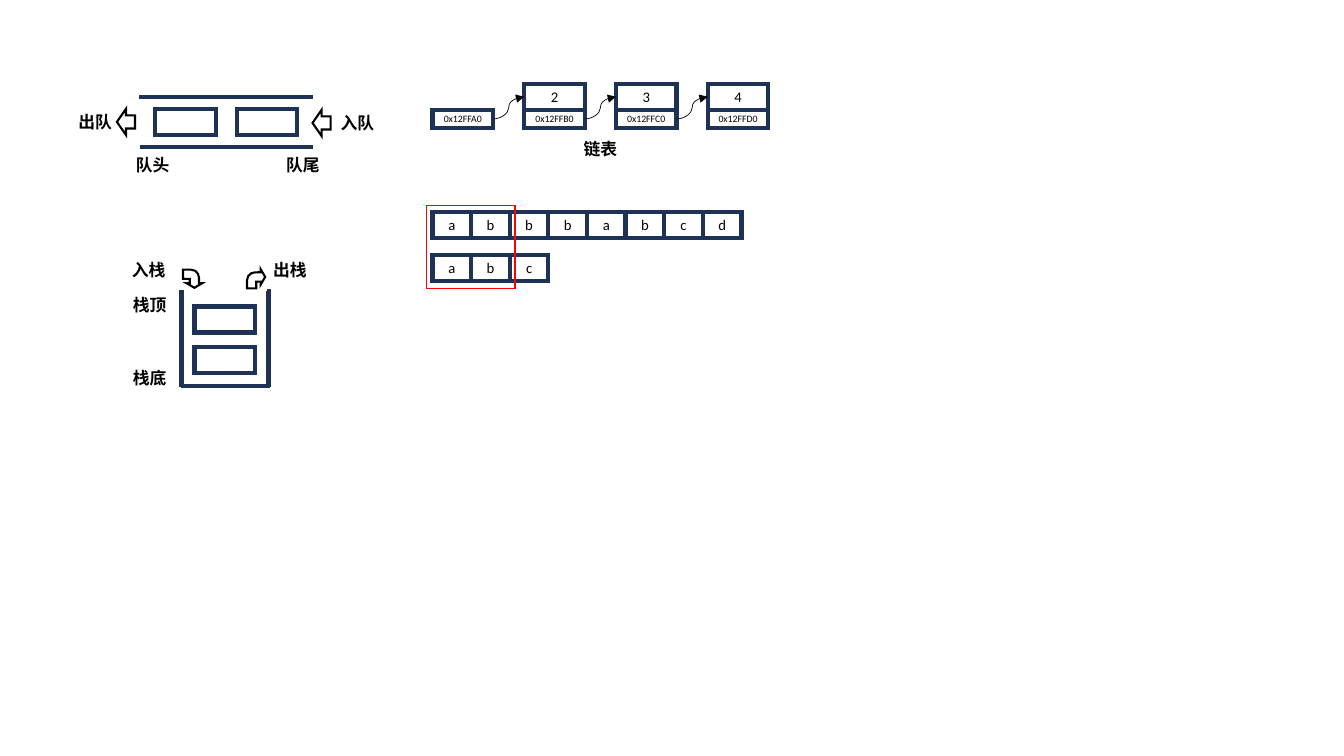
from typing import NamedTuple

from lxml import etree
from pptx import Presentation
from pptx.dml.color import RGBColor
from pptx.enum.shapes import MSO_CONNECTOR as CONN, MSO_SHAPE as SHAPE
from pptx.enum.text import MSO_ANCHOR, MSO_AUTO_SIZE, PP_ALIGN
from pptx.oxml.ns import qn
from pptx.util import Inches, Pt

NAVY = RGBColor(0x1E, 0x32, 0x56)
BLACK = RGBColor(0, 0, 0)
RED = RGBColor(0xFF, 0, 0)
FONT = "Calibri"
BOX_W, BOX_H, ADDRESS_H = 0.6, 0.26, 0.18
CELL_W = 0.383
RIGHT, LEFT = 3, 1


class Label(NamedTuple):
    text: str
    x: float
    y: float


class Stroke(NamedTuple):
    x1: float
    y1: float
    x2: float
    y2: float


class Node(NamedTuple):
    value: str
    address: str


LABELS = [
    Label("链表", 5.69, 1.33),
    Label("队头", 1.25, 1.49), Label("队尾", 2.74, 1.49),
    Label("入队", 3.28, 1.07), Label("出队", 0.68, 1.06),
    Label("栈底", 1.22, 3.6), Label("栈顶", 1.22, 2.87),
    Label("入栈", 1.21, 2.53), Label("出栈", 2.61, 2.53),
]
QUEUE_WALLS = [Stroke(1.38, 0.96, 3.1, 0.96), Stroke(1.39, 1.46, 3.1, 1.46)]
STACK_WALLS = [
    Stroke(1.8, 3.84, 1.8, 2.88), Stroke(2.66, 3.85, 2.66, 2.89),
    Stroke(2.67, 3.84, 2.67, 2.87), Stroke(1.8, 3.83, 2.67, 3.83),
]
QUEUE_ITEMS = [(1.54, 1.08), (2.35, 1.08)]
STACK_ITEMS = [(1.93, 3.44), (1.93, 3.04)]
NODES = [Node("", "0x12FFA0"), Node("2", "0x12FFB0"),
         Node("3", "0x12FFC0"), Node("4", "0x12FFD0")]
STRINGS = [("abbbabcd", 2.1), ("abc", 2.53)]


def add_outline(s, kind, x: float, y: float, w: float, h: float,
                color: RGBColor = NAVY, width: float = 3):
    """Add an unfilled shape with sharp corners."""
    sp = s.shapes.add_shape(kind, Inches(x), Inches(y), Inches(w), Inches(h))
    sp.shadow.inherit = False
    sp.fill.background()
    sp.line.color.rgb = color
    sp.line.width = Pt(width)
    miter = etree.SubElement(sp.line._get_or_add_ln(), qn("a:miter"))
    miter.set("lim", "800000")
    return sp


def add_box(s, x: float, y: float, w: float = BOX_W, h: float = BOX_H,
            text: str = "", size: float = 10.5):
    sp = add_outline(s, SHAPE.RECTANGLE, x, y, w, h)
    if text:
        tf = sp.text_frame
        tf.margin_left = tf.margin_right = tf.margin_top = tf.margin_bottom = 0
        tf.vertical_anchor = MSO_ANCHOR.MIDDLE
        tf.text = text
        tf.paragraphs[0].alignment = PP_ALIGN.CENTER
        format_run(tf, size)
    return sp


def format_run(tf, size: float, bold: bool = False) -> None:
    font = tf.paragraphs[0].runs[0].font
    font.name, font.size, font.bold = FONT, Pt(size), bold
    font.color.rgb = BLACK


def add_label(s, label: Label) -> None:
    tb = s.shapes.add_textbox(Inches(label.x), Inches(label.y), Inches(0.54), Inches(0.3))
    tf = tb.text_frame
    tf.word_wrap = False
    tf.auto_size = MSO_AUTO_SIZE.SHAPE_TO_FIT_TEXT
    tf.text = label.text
    format_run(tf, 12, bold=True)


def add_line(s, kind, stroke: Stroke, color: RGBColor, width: float):
    cxn = s.shapes.add_connector(kind, *(Inches(v) for v in stroke))
    cxn.line.color.rgb = color
    cxn.line.width = Pt(width)
    etree.SubElement(cxn._element.spPr, qn("a:effectLst"))
    return cxn


def add_pointer(s, source, target) -> None:
    """Curve from an address box to the value box of the next node."""
    cxn = add_line(s, CONN.CURVE, Stroke(0, 0, 0, 0), BLACK, 0.5)
    cxn.begin_connect(source, RIGHT)
    cxn.end_connect(target, LEFT)
    etree.SubElement(cxn.line._get_or_add_ln(), qn("a:tailEnd")).set("type", "triangle")


def add_linked_list(s) -> None:
    previous = None
    for i, node in enumerate(NODES):
        x = 4.29 + 0.91 * i
        if node.value:
            value = add_box(s, x, 0.83, text=node.value)
            add_pointer(s, previous, value)
        previous = add_box(s, x, 1.09, h=ADDRESS_H, text=node.address, size=7)


def add_queue(s) -> None:
    for x, y in QUEUE_ITEMS:
        add_box(s, x, y)
    for wall in QUEUE_WALLS:
        add_line(s, CONN.STRAIGHT, wall, NAVY, 3)
    for x, y in [(1.16, 1.08), (3.1, 1.09)]:
        arrow = add_outline(s, SHAPE.RIGHT_ARROW, x, y, 0.18, 0.26, BLACK, 1.5)
        arrow._element.spPr.get_or_add_xfrm().set("flipH", "1")


def add_stack(s) -> None:
    for wall in STACK_WALLS:
        add_line(s, CONN.STRAIGHT, wall, NAVY, 3)
    for x, y in STACK_ITEMS:
        add_box(s, x, y)
    for x, rotation in [(1.82, 90), (2.45, 0)]:
        arrow = add_outline(s, SHAPE.BENT_ARROW, x, 2.67, 0.18, 0.19, BLACK, 1.5)
        arrow.rotation = rotation
        for i, value in enumerate([0.51, 0.43, 0.25, 0.44]):
            arrow.adjustments[i] = value


def add_string_match(s) -> None:
    for letters, y in STRINGS:
        for i, letter in enumerate(letters):
            add_box(s, 4.29 + CELL_W * i, y, w=CELL_W, text=letter)
    add_outline(s, SHAPE.RECTANGLE, 4.23, 2.04, 0.88, 0.82, RED, 1)


def main() -> None:
    prs = Presentation()
    prs.slide_width, prs.slide_height = Inches(13.33), Inches(7.5)
    s = prs.slides.add_slide(prs.slide_layouts[6])
    add_linked_list(s)
    add_queue(s)
    add_stack(s)
    for label in LABELS:
        add_label(s, label)
    add_string_match(s)
    prs.save("out.pptx")


if __name__ == "__main__":
    main()
